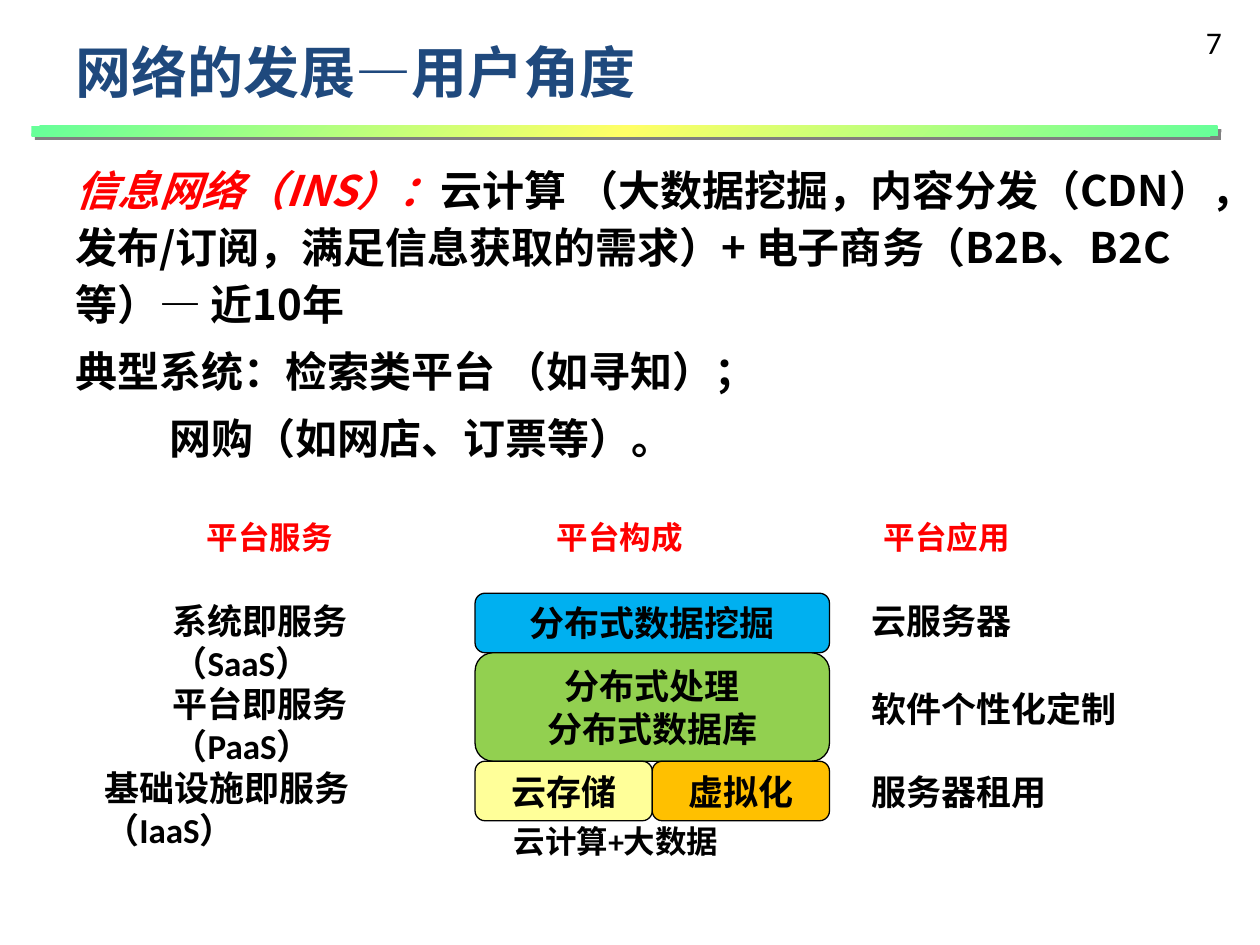
"""Build the slide on the development of networks from the user's angle."""
from dataclasses import dataclass

from lxml import etree
from pptx import Presentation
from pptx.dml.color import RGBColor
from pptx.enum.shapes import MSO_SHAPE
from pptx.enum.text import MSO_ANCHOR, PP_ALIGN
from pptx.oxml.ns import qn
from pptx.util import Pt

RECTANGLE = MSO_SHAPE.RECTANGLE
ROUNDED = MSO_SHAPE.ROUNDED_RECTANGLE
CENTER = PP_ALIGN.CENTER
MIDDLE = MSO_ANCHOR.MIDDLE


@dataclass(frozen=True)
class Theme:
    font: str = "Calibri"
    body_font: str = "Noto Sans CJK SC"
    text: str = "000000"
    accent: str = "FF0000"
    title: str = "1F497D"
    shadow: str = "808080"
    bar: tuple = ("66FF99", "FFFF66", "66FF99")
    mining: str = "00B0F0"
    processing: str = "92D050"
    storage: str = "FFFF99"
    virtual: str = "FFC000"
    title_size: int = 32
    body_size: int = 24
    label_size: int = 20
    small_size: int = 18


THEME = Theme()


def style_font(font, size, color, bold=True, name=THEME.font):
    font.name = name
    font.size = Pt(size)
    font.bold = bold
    font.color.rgb = RGBColor.from_string(color)


def add_color(parent, color):
    etree.SubElement(parent, qn("a:srgbClr")).set("val", color)


def add_text_box(slide, left, top, width, height):
    frame = slide.shapes.add_textbox(
        Pt(left), Pt(top), Pt(width), Pt(height)).text_frame
    frame.word_wrap = True
    frame.margin_right = 0
    return frame


def add_label(slide, text, box, size=THEME.label_size, color=THEME.text,
              bold=True, margin_right=0):
    frame = add_text_box(slide, *box)
    frame.margin_right = Pt(margin_right)
    paragraph = frame.paragraphs[0]
    paragraph.text = text
    style_font(paragraph.font, size, color, bold)


def add_bar(slide):
    bar = slide.shapes.add_shape(RECTANGLE, Pt(18), Pt(72), Pt(678), Pt(6))
    bar.line.fill.background()
    bar.fill.gradient()
    bar.fill.gradient_angle = 315
    properties = bar._element.spPr
    stops = properties.find(".//" + qn("a:gsLst"))
    for stop in list(stops):
        stops.remove(stop)
    for index, color in enumerate(THEME.bar):
        stop = etree.SubElement(stops, qn("a:gs"))
        stop.set("pos", str(index * 50000))
        add_color(stop, color)
    bar.shadow.inherit = False
    shadow = etree.SubElement(
        properties.find(qn("a:effectLst")), qn("a:outerShdw"))
    shadow.set("dist", str(Pt(2.8)))
    shadow.set("dir", "2700000")
    add_color(shadow, THEME.shadow)


def add_block(slide, lines, box, color):
    block = slide.shapes.add_shape(ROUNDED, *map(Pt, box))
    block.shadow.inherit = False
    block.fill.solid()
    block.fill.fore_color.rgb = RGBColor.from_string(color)
    block.line.color.rgb = RGBColor.from_string(THEME.text)
    block.line.width = Pt(0.75)
    frame = block.text_frame
    frame.vertical_anchor = MIDDLE
    frame.text = "\n".join(lines)
    for paragraph in frame.paragraphs:
        paragraph.alignment = CENTER
        style_font(paragraph.font, THEME.label_size, THEME.text)


def style_body(font, color=THEME.text, name=THEME.body_font):
    style_font(font, THEME.body_size, color, name=name)
    etree.SubElement(font._rPr, qn("a:ea")).set("typeface", THEME.body_font)


def add_body(slide):
    frame = add_text_box(slide, 36, 84, 660, 215)
    frame.margin_top = Pt(6)
    first = frame.paragraphs[0]
    first.line_spacing = Pt(32.6)
    runs = (
        ("信息网络（INS）：", THEME.accent, THEME.body_font),
        ("云计算 （大数据挖掘，内容分发（CDN），发布/订阅，满足信息获取的需求）"
         "+ 电子商务（B2B、B2C等）", THEME.text, THEME.body_font),
        ("— ", THEME.text, THEME.font),
        ("近10年", THEME.text, THEME.body_font),
    )
    for text, color, name in runs:
        run = first.add_run()
        run.text = text
        style_body(run.font, color, name)
    first.runs[0].font.italic = True

    for text, indent in (("典型系统：检索类平台 （如寻知）；", 0),
                         ("网购（如网店、订票等）。", 54)):
        paragraph = frame.add_paragraph()
        paragraph.text = text
        paragraph.line_spacing = Pt(32.6)
        paragraph.space_before = Pt(5.7)
        paragraph._p.get_or_add_pPr().set("marL", str(Pt(indent)))
        style_body(paragraph.font)


def add_platform(slide):
    left, width, top, row, tall = 271.5, 202.5, 339, 34, 62
    half = width / 2
    bottom = top + row + tall
    add_block(slide, ["分布式数据挖掘"], (left, top, width, row), THEME.mining)
    add_block(slide, ["分布式处理", "分布式数据库"],
              (left, top + row, width, tall), THEME.processing)
    add_block(slide, ["云存储"], (left, bottom, half, row), THEME.storage)
    add_block(slide, ["虚拟化"], (left + half, bottom, half, row), THEME.virtual)
    add_label(slide, "云计算+大数据", (286.5, 466, 173.5, 36), THEME.small_size)


def add_columns(slide):
    for text, left in (("平台服务", 111), ("平台构成", 311), ("平台应用", 498)):
        add_label(slide, text, (left, 292.5, 111.5, 36),
                  THEME.small_size, THEME.accent)
    for text, left, top, width in (("系统即服务（SaaS）", 91.5, 339, 196.5),
                                   ("平台即服务（PaaS）", 91.5, 386.5, 196.5),
                                   ("基础设施即服务（IaaS）", 52.5, 434.5, 232)):
        add_label(slide, text, (left, top, width, 31.5), margin_right=43)
    for text, top, width in (("云服务器", 339, 95),
                             ("软件个性化定制", 389.5, 156),
                             ("服务器租用", 437, 115)):
        add_label(slide, text, (491, top, width, 31.5))


def main():
    presentation = Presentation()
    presentation.slide_width = Pt(720)
    presentation.slide_height = Pt(540)
    slide = presentation.slides.add_slide(presentation.slide_layouts[6])
    add_bar(slide)
    add_label(slide, "7", (682, 9.5, 24, 29), THEME.small_size, bold=False)
    add_body(slide)
    add_label(slide, "网络的发展—用户角度", (36, 18, 352, 45.5),
              THEME.title_size, THEME.title)
    add_platform(slide)
    add_columns(slide)
    presentation.save("out.pptx")


if __name__ == "__main__":
    main()
